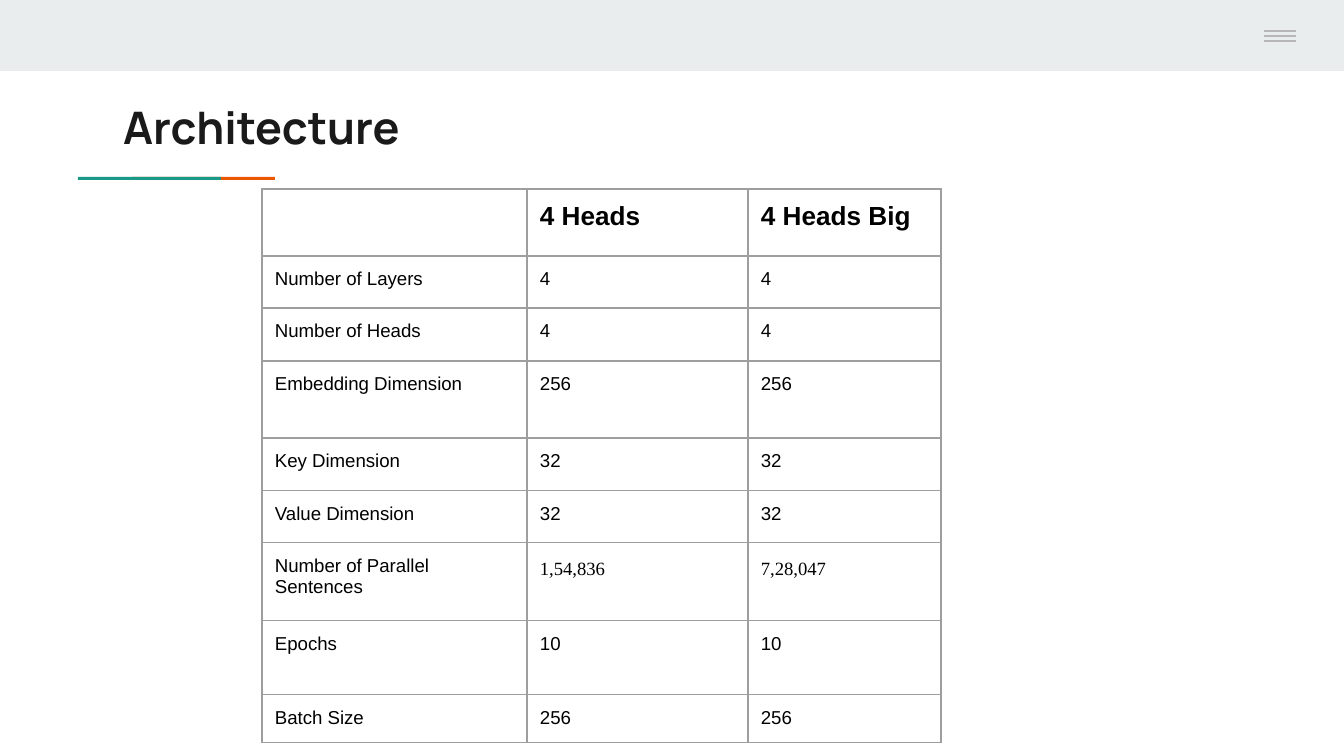
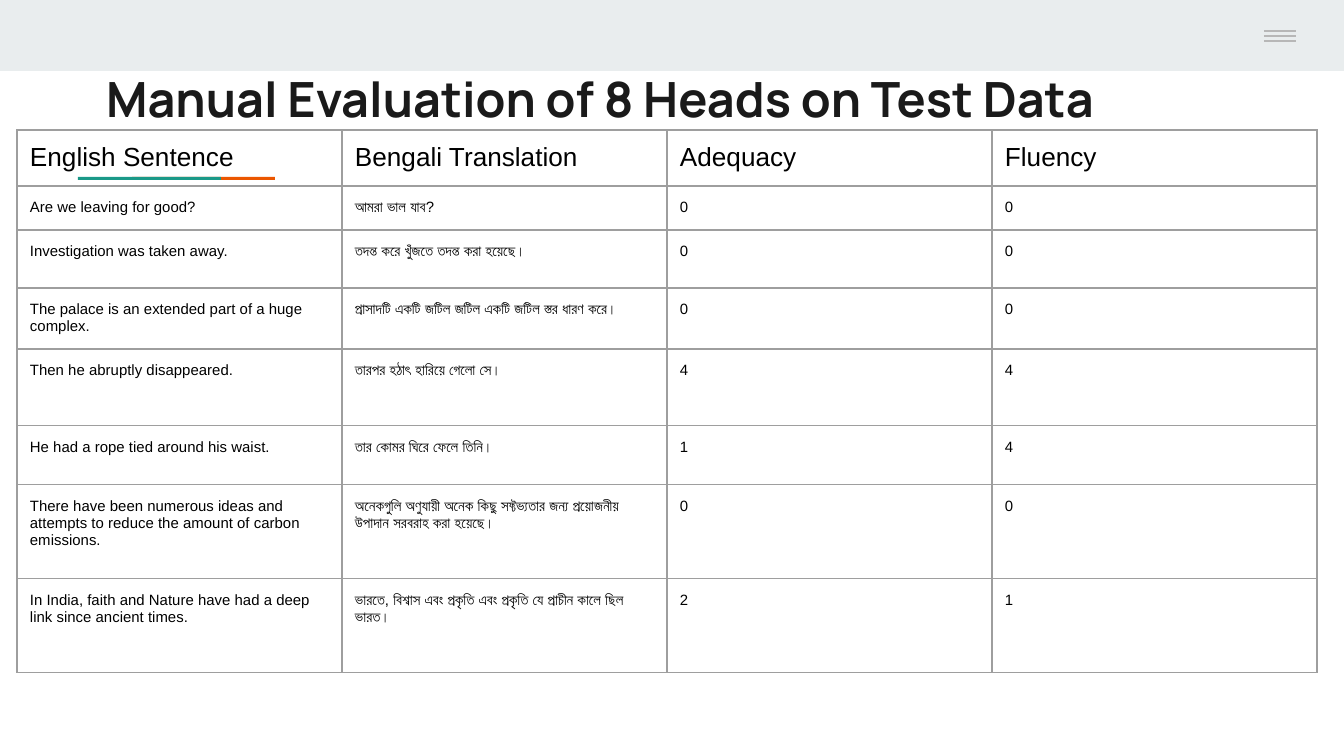
from lxml.etree import SubElement as Sub
from pptx import Presentation
from pptx.dml.color import RGBColor as RGB
from pptx.enum.shapes import MSO_CONNECTOR as CON, MSO_SHAPE as SHAPE
from pptx.enum.text import MSO_ANCHOR as ANCHOR, MSO_AUTO_SIZE as AUTO, PP_ALIGN as ALIGN
from pptx.oxml import parse_xml
from pptx.oxml.ns import nsdecls, qn
from pptx.util import Emu, Pt

SCALE = 914400 / 134.4  # EMU in one px
PAD = 13
COLORS = {"band": "E9EDEE", "teal": "1A9988", "orange": "EB5600",
          "burger": "B7B7B7", "title": "1A1A1A", "text": "000000", "grid": "9E9E9E"}

# Text formats
HEAD = {"name": "Arial", "size": Pt(14), "bold": False}
BOLD = {**HEAD, "bold": True}
BODY = {**HEAD, "size": Pt(10)}
SMALL = {**HEAD, "size": Pt(8)}
COUNT = {**BODY, "name": "Times New Roman"}
TITLE = {"name": "Manrope", "size": Pt(24), "bold": True}

MODEL = [
    ("", "4 Heads", "4 Heads Big"),
    ("Number of Layers", "4", "4"),
    ("Number of Heads", "4", "4"),
    ("Embedding Dimension", "256", "256"),
    ("Key Dimension", "32", "32"),
    ("Value Dimension", "32", "32"),
    ("Number of Parallel Sentences", "1,54,836", "7,28,047"),
    ("Epochs", "10", "10"),
    ("Batch Size", "256", "256"),
]
SCORES = [
    ("English Sentence", "Bengali Translation", "Adequacy", "Fluency"),
    ("Are we leaving for good?", "আমরা ভাল যাব?", "0", "0"),
    ("Investigation was taken away.", "তদন্ত করে খুঁজতে তদন্ত করা হয়েছে।", "0", "0"),
    ("The palace is an extended part of a huge complex.",
     "প্রাসাদটি একটি জটিল জটিল একটি জটিল স্তর ধারণ করে।", "0", "0"),
    ("Then he abruptly disappeared.", "তারপর হঠাৎ হারিয়ে গেলো সে।", "4", "4"),
    ("He had a rope tied around his waist.", "তার কোমর ঘিরে ফেলে তিনি।", "1", "4"),
    ("There have been numerous ideas and attempts to reduce the amount of carbon emissions.",
     "অনেকগুলি অণুযায়ী অনেক কিছু সফ্টভ্যতার জন্য প্রয়োজনীয় উপাদান সরবরাহ করা হয়েছে।", "0", "0"),
    ("In India, faith and Nature have had a deep link since ancient times.",
     "ভারতে, বিশ্বাস এবং প্রকৃতি এবং প্রকৃতি যে প্রাচীন কালে ছিল ভারত।", "2", "1"),
]


def px(*nums):
    return [Emu(round(n * SCALE)) for n in nums]


def rgb(key):
    return RGB.from_string(COLORS[key])


def set_all(obj, values):
    for key, value in values.items():
        setattr(obj, key, value)


def write(para, text, form, color):
    run = para.add_run()
    run.text = text
    run.font.color.rgb = rgb(color)
    set_all(run.font, form)
    # Bengali takes its face from the complex-script font
    Sub(run._r.get_or_add_rPr(), qn("a:cs"), typeface=form["name"])


def add_bar(slide, color, *box):
    bar = slide.shapes.add_shape(SHAPE.RECTANGLE, *px(*box))
    bar.shadow.inherit = False
    bar.fill.solid()
    bar.fill.fore_color.rgb = rgb(color)
    bar.line.fill.background()
    return bar


def add_rule(slide, left, right, y):
    rule = slide.shapes.add_connector(CON.STRAIGHT, *px(left, y, right, y))
    rule.line.color.rgb = rgb("burger")
    rule.line.width = Pt(0.75)
    Sub(rule._element.spPr, qn("a:effectLst"))
    return rule


def dress(layout, slide):
    """Build the shared band, accent and menu mark, then move them to the layout."""
    parts = [add_bar(slide, "band", 0, 0, 1344, 71),
             add_bar(slide, "orange", 132, 177, 143, 3),
             add_bar(slide, "teal", 78, 177, 143, 3),
             add_bar(slide, "band", 1218, 0, 126, 67)]
    parts += [add_rule(slide, 1264, 1296, 31 + 5 * i) for i in range(3)]
    for i, part in enumerate(parts):
        layout.shapes.element.insert(2 + i, part.element)


def add_title(slide, text, box, size):
    title = slide.shapes.title
    set_all(title, dict(zip(("left", "top", "width", "height"), px(*box))))
    frame = title.text_frame
    pad = px(PAD)[0]
    set_all(frame, {"auto_size": AUTO.NONE, "word_wrap": True,
                    "vertical_anchor": ANCHOR.MIDDLE, "margin_left": pad,
                    "margin_right": pad, "margin_top": pad, "margin_bottom": pad})
    para = frame.paragraphs[0]
    para.alignment = ALIGN.LEFT
    write(para, text, {**TITLE, "size": Pt(size)}, "title")


def style_cell(cell):
    pad = px(PAD)[0]
    set_all(cell, {"margin_left": pad, "margin_right": pad,
                   "margin_top": pad, "margin_bottom": pad})
    cell.fill.background()
    props = cell._tc.get_or_add_tcPr()
    for i, side in enumerate("LRTB"):
        props.insert(i, parse_xml(
            f'<a:ln{side} {nsdecls("a")} w="9525"><a:solidFill>'
            f'<a:srgbClr val="{COLORS["grid"]}"/></a:solidFill></a:ln{side}>'))


def add_grid(slide, spot, cols, rows, data, head, body):
    size = sum(cols), sum(rows)
    grid = slide.shapes.add_table(len(rows), len(cols), *px(*spot, *size)).table
    set_all(grid, {"first_row": False, "horz_banding": False})
    for col, width in zip(grid.columns, px(*cols)):
        col.width = width
    for row, height in zip(grid.rows, px(*rows)):
        row.height = height
    for r, line in enumerate(data):
        for c, text in enumerate(line):
            cell = grid.cell(r, c)
            style_cell(cell)
            if text:
                form = head if r == 0 else body
                para = cell.text_frame.paragraphs[0]
                if "," in text and text.replace(",", "").isdigit():
                    form = COUNT
                    set_all(para, {"alignment": ALIGN.JUSTIFY, "line_spacing": 1.15})
                write(para, text, form, "text")


def main():
    deck = Presentation()
    deck.slide_width, deck.slide_height = px(1344, 756)
    layout = deck.slide_layouts[5]

    # Model settings
    slide = deck.slides.add_slide(layout)
    dress(layout, slide)
    add_title(slide, "Architecture", (110, 86, 624, 82), 24)
    add_grid(slide, (262, 189), (265, 221, 193),
             (64, 52, 53, 77, 53, 52, 78, 74, 48), MODEL, BOLD, BODY)

    # Translation scores
    slide = deck.slides.add_slide(layout)
    add_title(slide, "Manual Evaluation of 8 Heads on Test Data", (93, 56, 1206, 85), 26)
    add_grid(slide, (17, 130), (325,) * 4,
             (56, 44, 58, 61, 77, 59, 94, 94), SCORES, HEAD, SMALL)

    deck.save("out.pptx")


if __name__ == "__main__":
    main()
